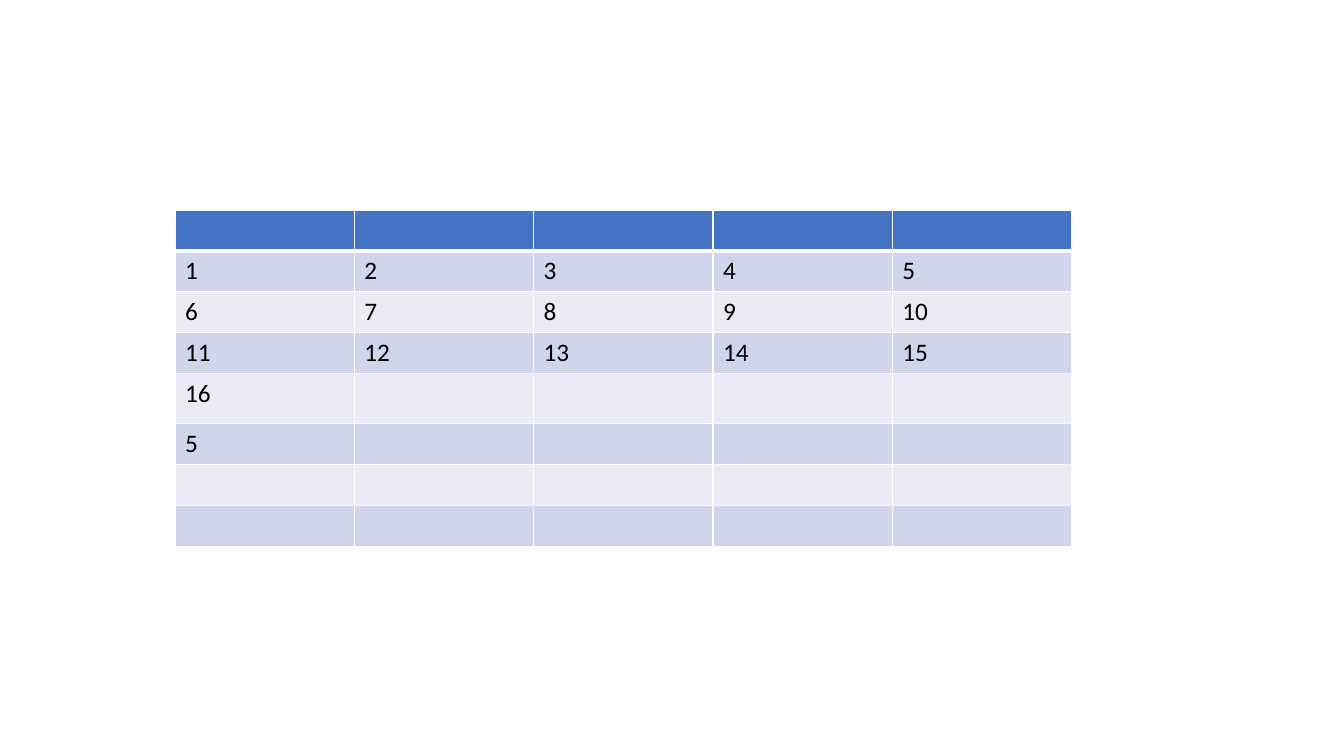
from dataclasses import dataclass

from lxml import etree
from pptx import Presentation
from pptx.dml.color import RGBColor
from pptx.oxml.ns import qn
from pptx.table import _Cell
from pptx.util import Cm, Pt

FONT = "Calibri"
WHITE, BLACK, BLUE = "FFFFFF", "000000", "4472C4"
BANDS = ("CFD5EA", "E9EBF5")
THIN, THICK = 1, 3
COLUMNS = 5
COLUMN_WIDTH = Cm(4.52)


@dataclass
class Row:
    values: tuple[int, ...] = ()
    height: float = 1.03


ROWS = [
    Row(),
    Row((1, 2, 3, 4, 5)),
    Row((6, 7, 8, 9, 10)),
    Row((11, 12, 13, 14, 15)),
    Row((16,), height=1.27),
    Row((5,)),
    Row(),
    Row(),
]


def rgb(color: str) -> RGBColor:
    return RGBColor.from_string(color)


def set_borders(cell: _Cell, top: int, bottom: int) -> None:
    tc_pr = cell._tc.get_or_add_tcPr()
    widths = {"a:lnL": THIN, "a:lnR": THIN, "a:lnT": top, "a:lnB": bottom}
    for tag, width in widths.items():
        line = etree.SubElement(tc_pr, qn(tag), w=str(Pt(width)))
        fill = etree.SubElement(line, qn("a:solidFill"))
        etree.SubElement(fill, qn("a:srgbClr"), val=WHITE)


def draw_cell(cell: _Cell, text: str, row_index: int) -> None:
    # The rule under the header is shared with the first body row
    set_borders(cell, top=THICK if row_index == 1 else THIN,
                bottom=THICK if row_index == 0 else THIN)
    cell.fill.solid()
    color = BANDS[(row_index - 1) % 2] if row_index else BLUE
    cell.fill.fore_color.rgb = rgb(color)
    cell.text = text
    p = cell.text_frame.paragraphs[0]
    p.font.name = FONT
    p.font.size = Pt(18)
    p.font.color.rgb = rgb(BLACK if row_index else WHITE)


prs = Presentation()
prs.slide_width, prs.slide_height = Cm(33.87), Cm(19.05)
s = prs.slides.add_slide(prs.slide_layouts[6])

# Number table
table = s.shapes.add_table(
    len(ROWS), COLUMNS, Cm(4.41), Cm(5.29), COLUMN_WIDTH * COLUMNS,
    Cm(sum(row.height for row in ROWS))).table
for column in table.columns:
    column.width = COLUMN_WIDTH

# Rows and cells
for i, row in enumerate(ROWS):
    table.rows[i].height = Cm(row.height)
    for j in range(COLUMNS):
        text = str(row.values[j]) if j < len(row.values) else ""
        draw_cell(table.cell(i, j), text, i)

prs.save("out.pptx")
